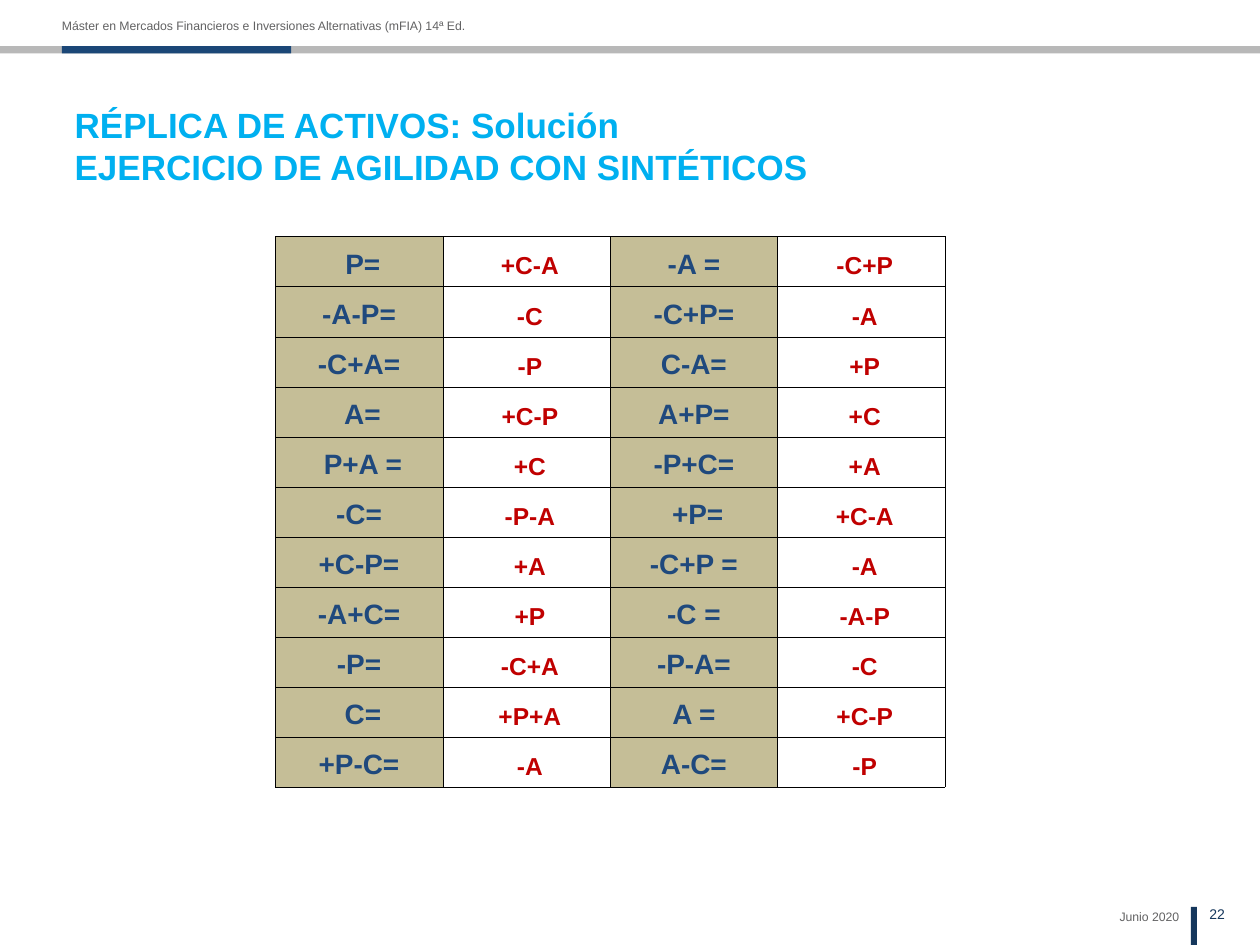
from dataclasses import dataclass

from lxml import etree
from pptx import Presentation
from pptx import util as u
from pptx.dml.color import RGBColor
from pptx.enum import shapes, text
from pptx.oxml import ns


@dataclass
class Theme:
    font: str = "Arial"
    title: str = "00B0F0"
    ask: str = "1F497D"
    reply: str = "C00000"
    tan: str = "C5BE97"
    white: str = "FFFFFF"
    line: str = "000000"
    rule: str = "B8B8B8"
    accent: str = "1B4777"
    navy: str = "15375C"
    muted: str = "626263"
    title_size: int = 20
    ask_size: int = 16
    reply_size: int = 14
    page_size: int = 8
    note_size: int = 7


theme = Theme()
left, mid, right = text.PP_ALIGN.LEFT, text.PP_ALIGN.CENTER, text.PP_ALIGN.RIGHT


def write(frame, words, size, color, bold=False, align=left):
    """Fill a text frame, one line to each line of words."""
    frame.word_wrap = True
    frame.text = words.replace("\n", "\v")
    para = frame.paragraphs[0]
    para.alignment = align
    for run in para.runs:
        run.font.name = theme.font
        run.font.size = u.Pt(size)
        run.font.bold = bold
        run.font.color.rgb = RGBColor.from_string(color)


def edge(cell):
    """Draw a thin line on all four sides of a cell."""
    props = cell._tc.get_or_add_tcPr()
    for side in ("a:lnL", "a:lnR", "a:lnT", "a:lnB"):
        line = etree.SubElement(props, ns.qn(side), w=str(u.Pt(0.23)))
        fill = etree.SubElement(line, ns.qn("a:solidFill"))
        etree.SubElement(fill, ns.qn("a:srgbClr"), val=theme.line)


deck = Presentation()
deck.slide_width, deck.slide_height = u.Cm(25.4), u.Cm(19.05)
slide = deck.slides.add_slide(deck.slide_layouts[5])

# Header rule and page mark
bars = [
    (0, 0.93, 25.4, 0.15, theme.rule),
    (1.25, 0.93, 4.62, 0.15, theme.accent),
    (24.01, 18.28, 0.12, 0.77, theme.navy),
]
for x, y, wide, high, color in bars:
    bar = slide.shapes.add_shape(
        shapes.MSO_SHAPE.RECTANGLE, u.Cm(x), u.Cm(y), u.Cm(wide), u.Cm(high)
    )
    bar.shadow.inherit = False
    bar.fill.solid()
    bar.fill.fore_color.rgb = RGBColor.from_string(color)
    bar.line.fill.background()

# Header and footer texts
course = "Máster en Mercados Financieros e Inversiones Alternativas (mFIA) 14ª Ed."
notes = [
    (1.25, 0.36, 10.26, course, theme.note_size, theme.muted, left),
    (20.9, 18.34, 2.87, "Junio 2020", theme.note_size, theme.muted, right),
    (24.38, 18.26, 1, "22", theme.page_size, theme.navy, left),
]
for x, y, wide, words, size, color, align in notes:
    box = slide.shapes.add_textbox(u.Cm(x), u.Cm(y), u.Cm(wide), u.Cm(0.32))
    frame = box.text_frame
    frame.margin_left = frame.margin_right = 0
    frame.margin_top = frame.margin_bottom = 0
    write(frame, words, size, color, align=align)

# Title
title = slide.shapes.title
title.left, title.top = u.Cm(1.25), u.Cm(1.35)
title.width, title.height = u.Cm(22.83), u.Cm(3.18)
title.text_frame.vertical_anchor = text.MSO_ANCHOR.MIDDLE
write(
    title.text_frame,
    "RÉPLICA DE ACTIVOS: Solución\nEJERCICIO DE AGILIDAD CON SINTÉTICOS",
    theme.title_size, theme.title, bold=True,
)

# Questions in the odd columns, answers in the even ones
rows = [
    (" P=", "+C-A", "-A =", "-C+P"),
    ("-A-P=", "-C", "-C+P=", "-A"),
    ("-C+A=", "-P", "C-A=", "+P"),
    (" A=", "+C-P", "A+P=", "+C"),
    (" P+A =", "+C", "-P+C=", "+A"),
    ("-C=", "-P-A", " +P=", "+C-A"),
    ("+C-P=", "+A", "-C+P =", "-A"),
    ("-A+C=", "+P", "-C =", "-A-P"),
    ("-P=", "-C+A", "-P-A=", "-C"),
    (" C=", "+P+A", "A =", "+C-P"),
    ("+P-C=", "-A", "A-C=", "-P"),
]
table = slide.shapes.add_table(
    len(rows), len(rows[0]), u.Cm(5.55), u.Cm(4.77), u.Cm(13.5), u.Cm(11.1)
).table
table.first_row = table.horz_banding = False
for r, row in enumerate(rows):
    for c, words in enumerate(row):
        ask = c % 2 == 0
        cell = table.cell(r, c)
        cell.margin_left = u.Cm(0.02 if ask else 0.16)
        cell.margin_right = u.Cm(0.02)
        cell.margin_top = cell.margin_bottom = u.Cm(0.13)
        cell.vertical_anchor = text.MSO_ANCHOR.BOTTOM
        edge(cell)
        cell.fill.solid()
        cell.fill.fore_color.rgb = RGBColor.from_string(
            theme.tan if ask else theme.white
        )
        write(
            cell.text_frame, words,
            theme.ask_size if ask else theme.reply_size,
            theme.ask if ask else theme.reply,
            bold=True, align=mid,
        )

deck.save("out.pptx")
